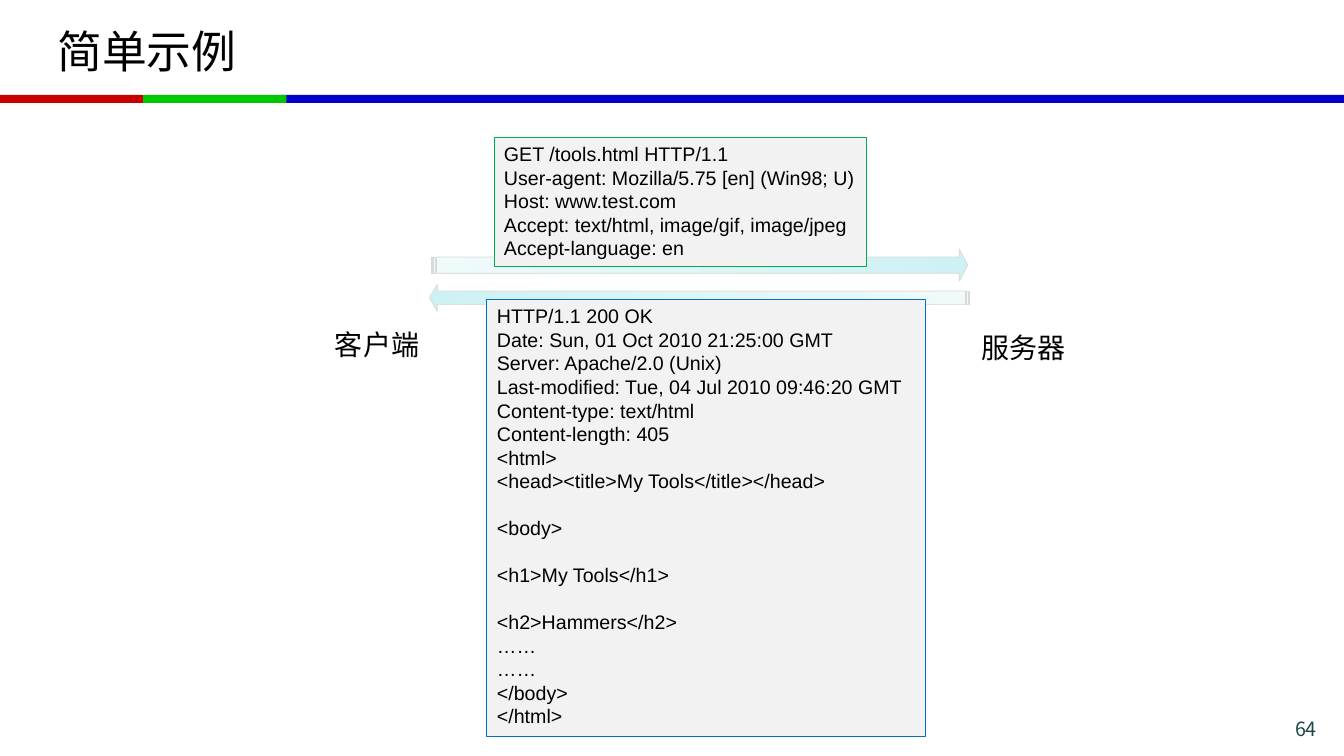
"""Build a slide that shows a simple HTTP request and its response."""
from lxml import etree
from pptx import Presentation
from pptx.dml.color import RGBColor
from pptx.enum import shapes, text
from pptx.oxml import ns
from pptx.util import Inches, Pt

BLACK = RGBColor(0x00, 0x00, 0x00)
RED = RGBColor(0xC8, 0x00, 0x00)
GREEN = RGBColor(0x00, 0xC8, 0x00)
BLUE = RGBColor(0x00, 0x00, 0xC8)
NUMBER_TEAL = RGBColor(0x1E, 0x46, 0x49)
PANEL_GRAY = RGBColor(0xF2, 0xF2, 0xF2)
ARROW_EDGE = RGBColor(0xD9, 0xD9, 0xD9)
ARROW_HEAD = RGBColor(0xCE, 0xF1, 0xF4)
ARROW_TAIL = RGBColor(0xEF, 0xFA, 0xFB)
REQUEST_EDGE = RGBColor(0x00, 0xB0, 0x50)
RESPONSE_EDGE = RGBColor(0x00, 0x70, 0xC0)
LATIN = "Arial"
CHINESE = "Noto Sans CJK SC"

REQUEST = """GET /tools.html HTTP/1.1
User-agent: Mozilla/5.75 [en] (Win98; U)
Host: www.test.com
Accept: text/html, image/gif, image/jpeg
Accept-language: en"""

RESPONSE = """HTTP/1.1 200 OK
Date: Sun, 01 Oct 2010 21:25:00 GMT
Server: Apache/2.0 (Unix)
Last-modified: Tue, 04 Jul 2010 09:46:20 GMT
Content-type: text/html
Content-length: 405
<html>
<head><title>My Tools</title></head>

<body>

<h1>My Tools</h1>

<h2>Hammers</h2>
……
……
</body>
</html>"""


def add_text(page, content, area, size, font=LATIN, color=BLACK,
             align=text.PP_ALIGN.LEFT, anchor=text.MSO_ANCHOR.TOP, wrap=False):
    """Add a text box with one look for all its lines and return it."""
    box = page.shapes.add_textbox(*map(Inches, area))
    frame = box.text_frame
    frame.text = content
    frame.word_wrap = wrap
    frame.vertical_anchor = anchor
    for para in frame.paragraphs:
        para.alignment = align
        para.font.size = Pt(size)
        for span in para.runs:
            span.font.size = Pt(size)
            span.font.name = font
            span.font.color.rgb = color
            east_asian = etree.SubElement(span.font._element, ns.qn("a:ea"))
            east_asian.set("typeface", CHINESE)
    return box


def add_bar(page, left, width, color):
    """Add one coloured piece of the rule under the title."""
    bar = page.shapes.add_shape(shapes.MSO_SHAPE.RECTANGLE, Inches(left),
                                Inches(0.94), Inches(width), Inches(0.08))
    bar.shadow.inherit = False
    bar.fill.solid()
    bar.fill.fore_color.rgb = color
    bar.line.fill.background()


def add_arrow(page, area, head_length, to_left=False):
    """Add a striped arrow that fades toward its tail."""
    arrow = page.shapes.add_shape(shapes.MSO_SHAPE.STRIPED_RIGHT_ARROW,
                                  *map(Inches, area))
    arrow.shadow.inherit = False
    arrow.adjustments[0] = 0.5
    arrow.adjustments[1] = head_length
    arrow.fill.gradient()
    arrow.fill.gradient_angle = 180
    for stop, color in zip(arrow.fill.gradient_stops, (ARROW_HEAD, ARROW_TAIL)):
        stop.color.rgb = color
    arrow.line.color.rgb = ARROW_EDGE
    arrow.line.width = Pt(0.5)
    if to_left:
        arrow._element.spPr.xfrm.set("flipH", "1")


def add_message(page, content, area, edge):
    """Add a gray panel with the lines of an HTTP message."""
    panel = add_text(page, content, area, 14)
    panel.text_frame.auto_size = text.MSO_AUTO_SIZE.SHAPE_TO_FIT_TEXT
    panel.fill.solid()
    panel.fill.fore_color.rgb = PANEL_GRAY
    panel.line.color.rgb = edge
    panel.line.width = Pt(0.75)


def main():
    """Build the slide and save it."""
    deck = Presentation()
    deck.slide_width, deck.slide_height = Inches(13.33), Inches(7.5)
    page = deck.slides.add_slide(deck.slide_layouts[6])

    add_bar(page, 2.79, 10.54, BLUE)
    add_bar(page, 0, 1.42, RED)
    add_bar(page, 1.42, 1.42, GREEN)
    add_text(page, "简单示例", (0.47, 0.08, 12.39, 0.84), 32, CHINESE,
             anchor=text.MSO_ANCHOR.MIDDLE, wrap=True)
    add_text(page, "64", (11.86, 7.06, 1.3, 0.28), 14, CHINESE, NUMBER_TEAL,
             text.PP_ALIGN.RIGHT, wrap=True)

    for name, left, top in (("客户端", 3.22, 3.2), ("服务器", 9.63, 3.23)):
        add_text(page, name, (left, top, 1.04, 0.44), 20,
                 align=text.PP_ALIGN.CENTER)

    add_arrow(page, (4.28, 2.47, 5.32, 0.32), 0.27)
    add_arrow(page, (4.26, 2.82, 5.36, 0.27), 0.29, to_left=True)
    add_message(page, REQUEST, (4.9, 1.36, 3.69, 1.28), REQUEST_EDGE)
    add_message(page, RESPONSE, (4.83, 2.97, 4.35, 4.34), RESPONSE_EDGE)
    deck.save("out.pptx")


if __name__ == "__main__":
    main()
